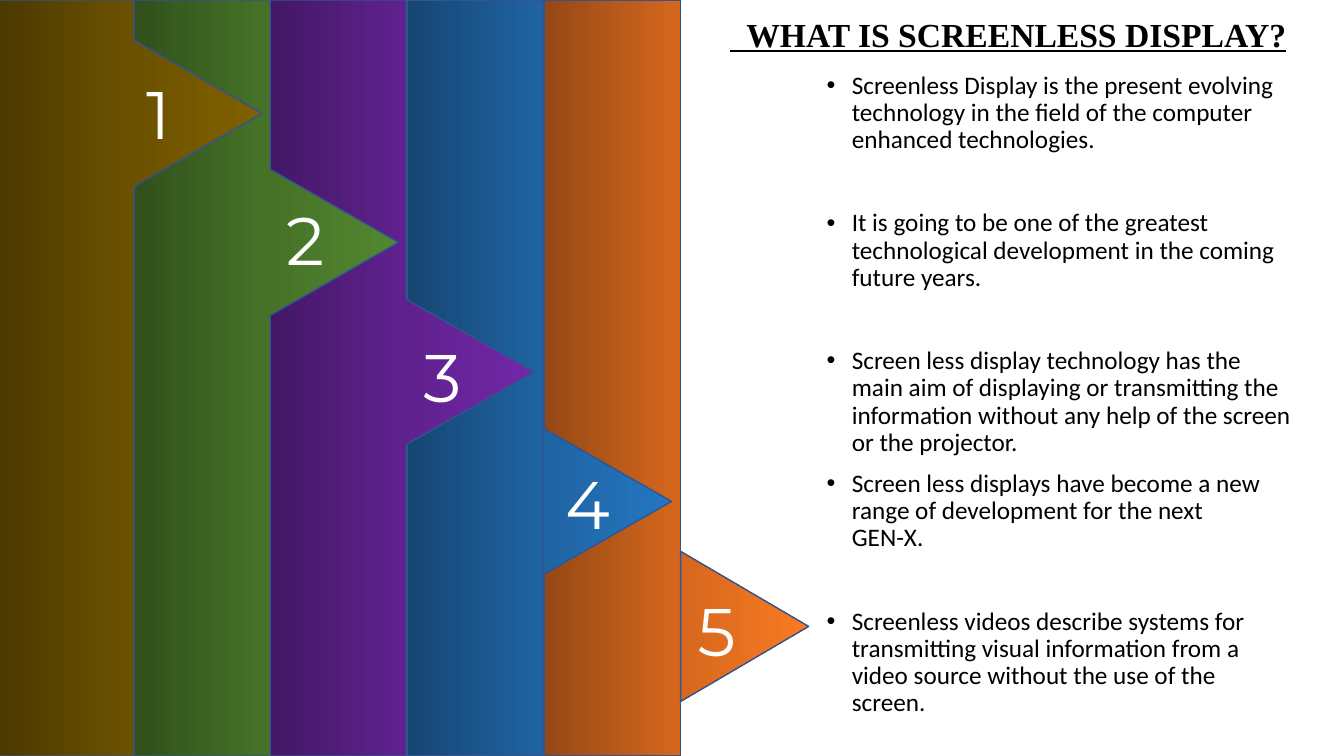
import copy

import pptx
import pptx.dml.color
import pptx.enum.text
import pptx.oxml.ns
import pptx.util
from pptx.util import Inches

BLACK = pptx.dml.color.RGBColor(0x00, 0x00, 0x00)
WHITE = pptx.dml.color.RGBColor(0xFF, 0xFF, 0xFF)
OUTLINE = pptx.dml.color.RGBColor(0x32, 0x54, 0x91)
BROWN = [pptx.dml.color.RGBColor.from_string(code) for code in ("4C3900", "6B5100", "806000")]
GREEN = [pptx.dml.color.RGBColor.from_string(code) for code in ("31501C", "467228", "538730")]
PURPLE = [pptx.dml.color.RGBColor.from_string(code) for code in ("431764", "5F218E", "7128A8")]
BLUE = [pptx.dml.color.RGBColor.from_string(code) for code in ("164672", "1F63A2", "2476C0")]
ORANGE = [pptx.dml.color.RGBColor.from_string(code) for code in ("954815", "D4671D", "FB7A23")]

SLIDE_HEIGHT = 7.5
BAND_WIDTH = 1.35
ARROW_LENGTH = 1.27

TITLE_FORMAT = {"name": "Times New Roman", "size": pptx.util.Pt(24), "bold": True, "underline": True}
BODY_FORMAT = {"name": "Calibri", "size": pptx.util.Pt(18)}
NUMBER_FORMAT = {"name": "Montserrat", "size": pptx.util.Pt(48)}

# number, band left, arrow top, arrow height, number box, colours, arrow is a separate outline
BANDS = [
    ("5", 5.4, 5.47, 1.49, (6.82, 5.8, 1.04, 0.91), ORANGE, True),
    ("4", 4.04, 4.25, 1.45, (5.51, 4.54, 0.72, 0.91), BLUE, True),
    ("3", 2.68, 2.97, 1.44, (4.1, 3.28, 1.08, 0.91), PURPLE, False),
    ("2", 1.33, 1.68, 1.45, (2.74, 1.92, 1.06, 0.91), GREEN, False),
    ("1", -0.02, 0.4, 1.45, (1.35, 0.67, 1.11, 0.91), BROWN, False),
]

BULLETS = [
    ("Screenless Display is the present evolving technology in the field of the computer "
     "enhanced technologies.", 0),
    ("It is going to be one of the greatest technological development in the coming future years.", 40),
    ("Screen less display technology has the main aim of displaying or transmitting the "
     "information without any help of the screen or the projector.", 40),
    ("Screen less displays have become a new range of development for the next\nGEN-X.", 10),
    ("Screenless videos describe systems for transmitting visual information from a video "
     "source without the use of the screen.", 40),
]


def format_font(font, values, color):
    for name, value in values.items():
        setattr(font, name, value)
    font.color.rgb = color


def add_title(slide, text):
    title = slide.shapes.title
    box = {"left": 1.9, "top": -0.06, "width": 10.96, "height": 0.84}
    for name, value in box.items():
        setattr(title, name, Inches(value))
    title.text_frame.vertical_anchor = pptx.enum.text.MSO_ANCHOR.MIDDLE
    paragraph = title.text_frame.paragraphs[0]
    paragraph.text = text
    paragraph.alignment = pptx.enum.text.PP_ALIGN.RIGHT
    paragraph.line_spacing = 0.9
    format_font(paragraph.runs[0].font, TITLE_FORMAT, BLACK)


def add_text_box(slide, box):
    shape = slide.shapes.add_textbox(*map(Inches, box))
    shape.text_frame.word_wrap = True
    return shape.text_frame


def add_bullet(paragraph, text, space_before):
    paragraph.text = text
    paragraph.line_spacing = 0.9
    paragraph.space_before = pptx.util.Pt(space_before)
    properties = paragraph._p.get_or_add_pPr()
    properties.set("marL", str(Inches(0.25)))
    properties.set("indent", str(Inches(-0.25)))
    font = pptx.oxml.ns.qn("a:buFont")
    properties.append(properties.makeelement(font, {"typeface": "Arial"}))
    character = pptx.oxml.ns.qn("a:buChar")
    properties.append(properties.makeelement(character, {"char": "•"}))
    format_font(paragraph.font, BODY_FORMAT, BLACK)
    for run in paragraph.runs:
        format_font(run.font, BODY_FORMAT, BLACK)


def add_bullets(slide):
    frame = add_text_box(slide, (8.1, 0.67, 4.81, 6.65))
    for index, (text, space_before) in enumerate(BULLETS):
        paragraph = frame.add_paragraph() if index else frame.paragraphs[0]
        add_bullet(paragraph, text, space_before)


def fill_gradient(shape, colors):
    shape.fill.gradient()
    shape.fill.gradient_angle = 0
    stop_list = shape._element.spPr.find(".//" + pptx.oxml.ns.qn("a:gsLst"))
    stop_list.insert(1, copy.deepcopy(stop_list[0]))
    for index, stop in enumerate(shape.fill.gradient_stops):
        stop.position = index / 2
        stop.color.rgb = colors[index]


def band_outlines(left, arrow_top, arrow_height, separate):
    right = left + BAND_WIDTH
    arrow = [
        (right, arrow_top),
        (right + ARROW_LENGTH, arrow_top + arrow_height / 2),
        (right, arrow_top + arrow_height),
    ]
    upper = [(left, 0), (right, 0)]
    lower = [(right, SLIDE_HEIGHT), (left, SLIDE_HEIGHT)]
    return [arrow, upper + lower] if separate else [upper + arrow + lower]


def add_band(slide, outlines, colors):
    builder = None
    for outline in outlines:
        points = [(Inches(x), Inches(y)) for x, y in outline]
        if builder is None:
            builder = slide.shapes.build_freeform(*points[0])
        else:
            builder.move_to(*points[0])
        builder.add_line_segments(points[1:], close=True)
    shape = builder.convert_to_shape()
    shape.shadow.inherit = False
    fill_gradient(shape, colors)
    shape.line.color.rgb = OUTLINE
    shape.line.width = pptx.util.Pt(1)


def add_number(slide, number, box):
    paragraph = add_text_box(slide, box).paragraphs[0]
    paragraph.text = number
    format_font(paragraph.runs[0].font, NUMBER_FORMAT, WHITE)


def main():
    presentation = pptx.Presentation()
    presentation.slide_width = Inches(13.33)
    presentation.slide_height = Inches(SLIDE_HEIGHT)
    slide = presentation.slides.add_slide(presentation.slide_layouts[5])
    add_title(slide, "  WHAT IS SCREENLESS DISPLAY?")
    add_bullets(slide)
    for number, left, arrow_top, arrow_height, box, colors, separate in BANDS:
        add_band(slide, band_outlines(left, arrow_top, arrow_height, separate), colors)
        add_number(slide, number, box)
    presentation.save("out.pptx")


if __name__ == "__main__":
    main()
